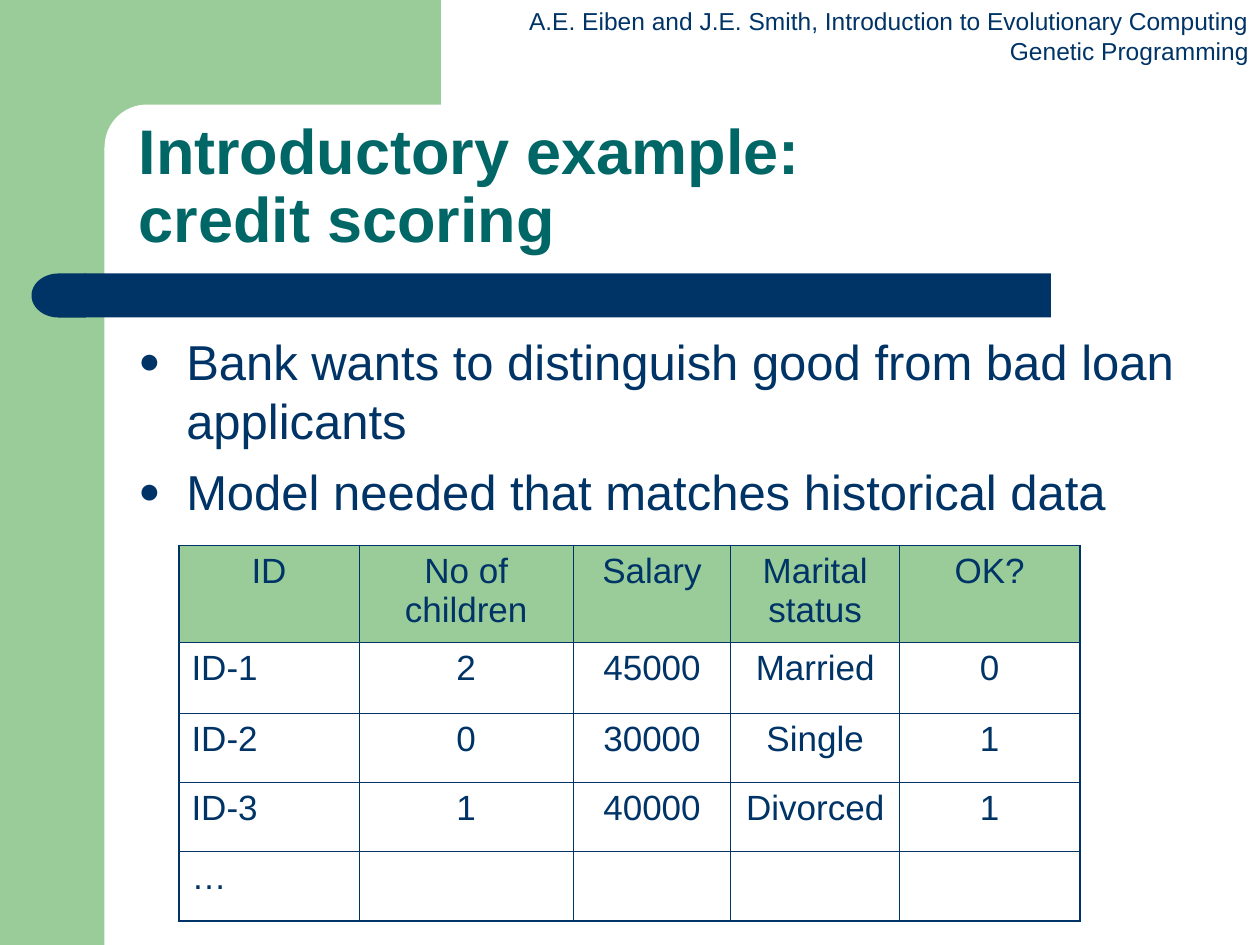
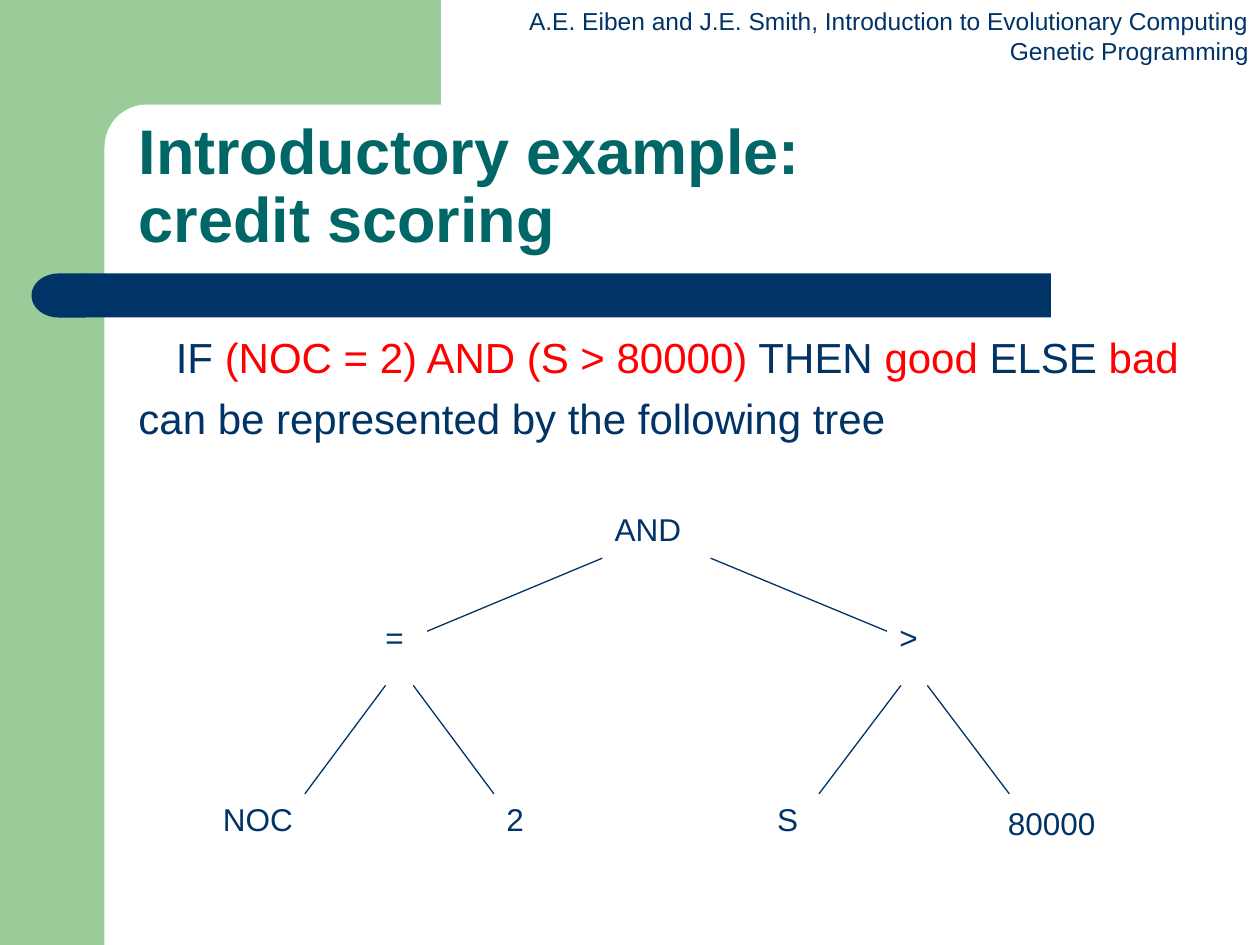
"""Build two slides on credit scoring as a genetic programming example."""
from lxml import etree
from pptx import Presentation
from pptx import util as u
from pptx.dml.color import RGBColor
from pptx.enum import shapes, text
from pptx.oxml import ns

HUES = {"leaf": "99CC99", "navy": "003366", "teal": "006666", "red": "FF0000", "white": "FFFFFF"}
FONT = "Arial"
KINDS = shapes.MSO_SHAPE
ALIGN = text.PP_ALIGN


def write(para, runs, size, align=ALIGN.LEFT, before=0, bold=False):
    para.alignment = align
    para.space_before = u.Pt(before)
    for words, hue in runs:
        run = para.add_run()
        run.text = words
        run.font.name = FONT
        run.font.size = u.Pt(size)
        run.font.bold = bold
        run.font.color.rgb = RGBColor.from_string(HUES[hue])


def add_box(slide, left, top, width, height, wrap=True):
    box = slide.shapes.add_textbox(*map(u.Inches, (left, top, width, height)))
    box.text_frame.word_wrap = wrap
    return box.text_frame


deck = Presentation()
deck.slide_width = u.Inches(10)
deck.slide_height = u.Inches(7.5)

bands = [
    (KINDS.RECTANGLE, 0, 0, 0.83, 7.5, "leaf", 0),
    (KINDS.RECTANGLE, 0.75, 0, 2.75, 1.17, "leaf", 0),
    (KINDS.ROUNDED_RECTANGLE, 0.83, 0.83, 5.58, 0.67, "white", 0),
    (KINDS.RECTANGLE, 0.67, 2.17, 7.67, 0.35, "navy", 0),
    (KINDS.FLOWCHART_DELAY, 0.25, 2.17, 0.43, 0.35, "navy", 180),
]
credits = ["A.E. Eiben and J.E. Smith, Introduction to Evolutionary Computing", "Genetic Programming"]

pages = []
for _ in range(2):
    slide = deck.slides.add_slide(deck.slide_layouts[5])
    for kind, left, top, width, height, hue, turn in bands:
        band = slide.shapes.add_shape(kind, *map(u.Inches, (left, top, width, height)))
        band.shadow.inherit = False
        band.fill.solid()
        band.fill.fore_color.rgb = RGBColor.from_string(HUES[hue])
        band.line.fill.background()
        band.rotation = turn
        if kind == KINDS.ROUNDED_RECTANGLE:
            band.adjustments[0] = 0.5

    head = add_box(slide, 4.1, 0, 5.91, 0.57, wrap=False)
    for i, line in enumerate(credits):
        para = head.add_paragraph() if i else head.paragraphs[0]
        write(para, [(line, "navy")], 14, ALIGN.RIGHT)

    title = slide.shapes.title
    title.left, title.top = u.Inches(1), u.Inches(0.83)
    title.width, title.height = u.Inches(8.75), u.Inches(1.25)
    frame = title.text_frame
    frame.auto_size = text.MSO_AUTO_SIZE.NONE
    frame.vertical_anchor = text.MSO_ANCHOR.BOTTOM
    para = frame.paragraphs[0]
    para.line_spacing = 0.9
    write(para, [("Introductory example: ", "teal")], 36, bold=True)
    para.add_line_break()
    write(para, [("credit scoring", "teal")], 36, bold=True)
    slide.shapes._spTree.append(title._element)
    pages.append(slide)

data, tree = pages

points = ["Bank wants to distinguish good from bad loan applicants",
          "Model needed that matches historical data"]
body = add_box(data, 1, 2.58, 8.75, 1.7)
for i, point in enumerate(points):
    para = body.add_paragraph() if i else body.paragraphs[0]
    write(para, [(point, "navy")], 28, before=7)
    props = para._p.get_or_add_pPr()
    props.set("marL", str(u.Inches(0.38)))
    props.set("indent", str(-u.Inches(0.38)))
    color = etree.SubElement(props, ns.qn("a:buClr"))
    etree.SubElement(color, ns.qn("a:srgbClr"), val=HUES["navy"])
    etree.SubElement(props, ns.qn("a:buSzPct"), val="75000")
    etree.SubElement(props, ns.qn("a:buFont"), typeface=FONT)
    etree.SubElement(props, ns.qn("a:buChar"), char="●")

rows = [
    ["ID", "No of children", "Salary", "Marital status", "OK?"],
    ["ID-1", "2", "45000", "Married", "0"],
    ["ID-2", "0", "30000", "Single", "1"],
    ["ID-3", "1", "40000", "Divorced ", "1"],
    ["…", "", "", "", ""],
]
widths = [1.43, 1.7, 1.25, 1.34, 1.43]
heights = [0.77, 0.56, 0.55, 0.55, 0.55]
last = len(rows) - 1
grid = data.shapes.add_table(len(rows), len(widths), u.Inches(1.42), u.Inches(4.33),
                             u.Inches(sum(widths)), u.Inches(sum(heights))).table
grid.first_row = grid.horz_banding = False
for i, width in enumerate(widths):
    grid.columns[i].width = u.Inches(width)
for r, row in enumerate(rows):
    grid.rows[r].height = u.Inches(heights[r])
    for c, words in enumerate(row):
        cell = grid.cell(r, c)
        props = cell._tc.get_or_add_tcPr()
        outer = {"L": c == 0, "R": c == last, "T": r == 0, "B": r == last}
        for side, edge in outer.items():
            line = etree.SubElement(props, ns.qn(f"a:ln{side}"), w=str(u.Pt(1.08 if edge else 0.45)))
            fill = etree.SubElement(line, ns.qn("a:solidFill"))
            etree.SubElement(fill, ns.qn("a:srgbClr"), val=HUES["navy"])
        if r == 0:
            cell.fill.solid()
            cell.fill.fore_color.rgb = RGBColor.from_string(HUES["leaf"])
        else:
            cell.fill.background()
        if words:
            align = ALIGN.LEFT if r and c == 0 else ALIGN.CENTER
            write(cell.text_frame.paragraphs[0], [(words, "navy")], 20, align, before=5)

rule = [("IF ", "navy"), ("(NOC = 2) AND (S > 80000)", "red"), (" THEN ", "navy"),
        ("good", "red"), (" ELSE ", "navy"), ("bad", "red")]
body = add_box(tree, 1, 2.58, 8.75, 1.1)
write(body.paragraphs[0], rule, 24, ALIGN.CENTER, before=6)
write(body.add_paragraph(), [("can be represented by the following tree", "navy")], 24, before=6)
for para in body.paragraphs:
    props = para._p.get_or_add_pPr()
    props.set("marL", str(u.Inches(0.38)))
    props.set("indent", str(-u.Inches(0.38)))

nodes = [("AND", 4.78, 4, 1.29), ("=", 2.96, 4.86, 0.54), (">", 7.04, 4.86, 0.54),
         ("NOC", 1.67, 6.3, 1.29), ("2", 3.92, 6.3, 0.54), ("S", 6.07, 6.3, 0.54),
         ("80000", 7.9, 6.33, 1.18)]
for words, left, top, width in nodes:
    node = add_box(tree, left, top, width, 0.4)
    write(node.paragraphs[0], [(words, "navy")], 18)

levels = [
    (4.43, 5.01, [(4.78, 3.39), (5.64, 7.04)]),
    (5.44, 6.3, [(3.06, 2.42), (3.28, 3.92), (7.15, 6.5), (7.36, 8.01)]),
]
for top, base, spans in levels:
    for start, end in spans:
        link = tree.shapes.add_connector(shapes.MSO_CONNECTOR.STRAIGHT,
                                         *map(u.Inches, (start, top, end, base)))
        link.line.width = u.Pt(0.75)
        link.line.color.rgb = RGBColor.from_string(HUES["navy"])
        etree.SubElement(link._element.spPr, ns.qn("a:effectLst"))

deck.save("out.pptx")
